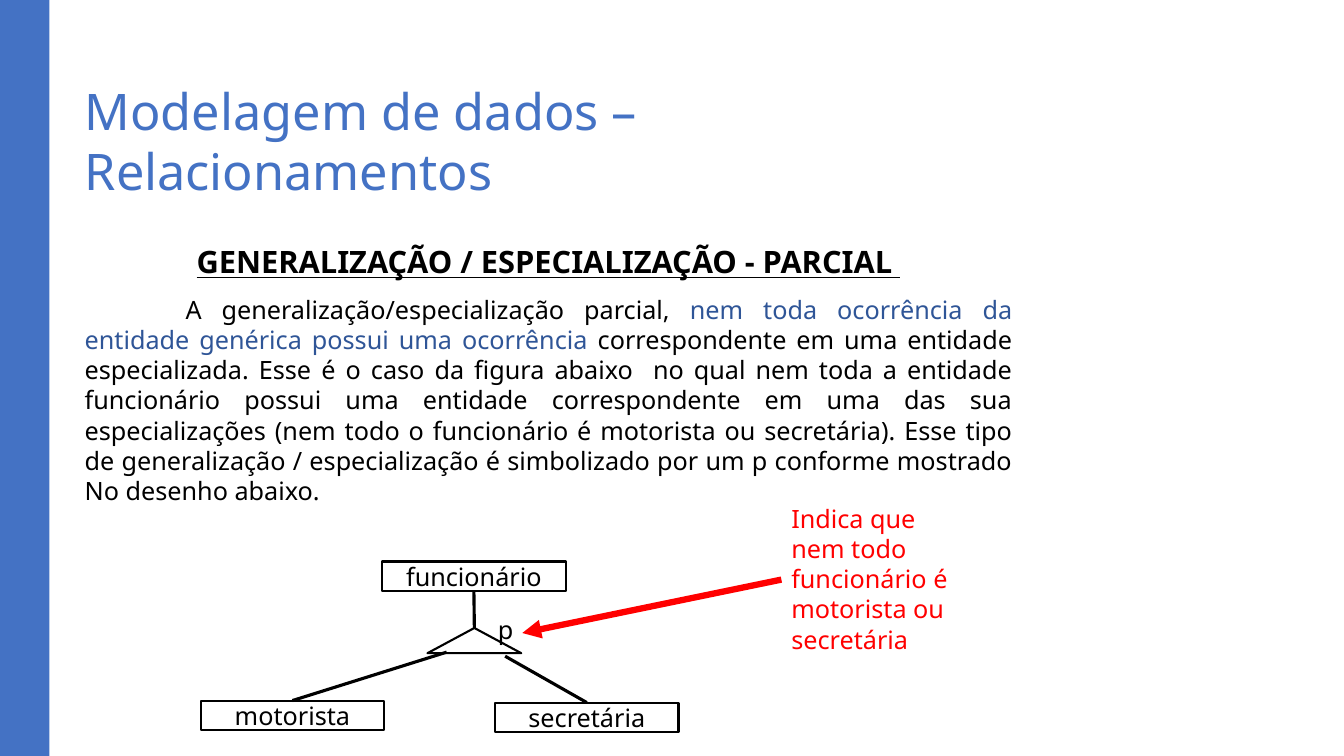
from dataclasses import dataclass

from lxml import etree
from pptx import Presentation
from pptx.dml.color import RGBColor
from pptx.enum.shapes import MSO_CONNECTOR, MSO_SHAPE
from pptx.enum.text import MSO_ANCHOR, MSO_AUTO_SIZE, PP_ALIGN
from pptx.oxml.ns import qn
from pptx.util import Inches, Pt


@dataclass(frozen=True)
class Theme:
    font: str = "Noto Sans"
    accent: str = "4472C4"
    emphasis: str = "2F5597"
    ink: str = "000000"
    paper: str = "FFFFFF"
    alert: str = "FF0000"
    title: int = 36
    heading: int = 22
    text: int = 18
    outline: float = 1.5
    link: float = 2.25
    arrow: float = 4.5


class SlideBuilder:
    def __init__(self, prs, theme):
        self.t = theme
        self.s = prs.slides.add_slide(prs.slide_layouts[1])

    def style(self, r, color, size, bold=False, underline=False):
        r.font.name, r.font.size = self.t.font, Pt(size)
        r.font.bold, r.font.underline = bold, underline
        r.font.color.rgb = RGBColor.from_string(color)

    def place(self, sp, x, y, w, h):
        sp.left, sp.top, sp.width, sp.height = map(Inches, (x, y, w, h))

    def title(self, text, *box):
        sp = self.s.shapes.title
        self.place(sp, *box)
        tf = sp.text_frame
        tf.text = text
        tf.vertical_anchor = MSO_ANCHOR.MIDDLE
        tf.auto_size = MSO_AUTO_SIZE.NONE
        p = tf.paragraphs[0]
        p.alignment = PP_ALIGN.LEFT
        self.style(p.runs[0], self.t.accent, self.t.title)

    def body(self, heading, parts, *box):
        sp = self.s.placeholders[1]
        self.place(sp, *box)
        tf = sp.text_frame
        tf.text = heading
        tf.vertical_anchor = MSO_ANCHOR.TOP
        tf.auto_size = MSO_AUTO_SIZE.NONE
        head, p = tf.paragraphs[0], tf.add_paragraph()
        self.style(head.runs[0], self.t.ink, self.t.heading, True, True)
        for text, color in parts:
            r = p.add_run()
            r.text = text
            self.style(r, color, self.t.text)
        # No bullets; only the running text has a first-line indent
        for para, align, indent in ((head, PP_ALIGN.CENTER, 0), (p, PP_ALIGN.JUSTIFY, 1)):
            para.alignment = align
            para.space_before = Pt(10)
            pPr = para._p.get_or_add_pPr()
            pPr.set("marL", "0")
            pPr.set("indent", str(Inches(indent)))
            etree.SubElement(pPr, qn("a:buNone"))

    def shape(self, kind, x, y, w, h, fill, line=None):
        sp = self.s.shapes.add_shape(kind, *map(Inches, (x, y, w, h)))
        sp.shadow.inherit = False
        sp.fill.solid()
        sp.fill.fore_color.rgb = RGBColor.from_string(fill)
        if line:
            sp.line.color.rgb = RGBColor.from_string(line)
            sp.line.width = Pt(self.t.outline)
        else:
            sp.line.fill.background()
        return sp

    def entity(self, text, x, y):
        sp = self.shape(MSO_SHAPE.RECTANGLE, x, y, 1.82, 0.29, self.t.paper, self.t.ink)
        tf = sp.text_frame
        tf.text = text
        tf.margin_top = tf.margin_bottom = 0
        tf.vertical_anchor = MSO_ANCHOR.MIDDLE
        p = tf.paragraphs[0]
        p.alignment = PP_ALIGN.CENTER
        self.style(p.runs[0], self.t.ink, self.t.text)
        return sp

    def label(self, text, x, y, w, h, color, wrap=True):
        sp = self.s.shapes.add_textbox(*map(Inches, (x, y, w, h)))
        tf = sp.text_frame
        tf.text = text
        tf.word_wrap = wrap
        tf.auto_size = MSO_AUTO_SIZE.SHAPE_TO_FIT_TEXT
        self.style(tf.paragraphs[0].runs[0], color, self.t.text)

    def line(self, start, end, color, width, arrow=False):
        ends = map(Inches, (*start, *end))
        c = self.s.shapes.add_connector(MSO_CONNECTOR.STRAIGHT, *ends)
        c.line.color.rgb = RGBColor.from_string(color)
        c.line.width = Pt(width)
        if arrow:
            etree.SubElement(c.line._get_or_add_ln(), qn("a:tailEnd"), type="triangle")
        etree.SubElement(c._element.spPr, qn("a:effectLst"))
        return c


def main():
    prs = Presentation()
    prs.slide_width, prs.slide_height = Inches(13.33), Inches(7.5)
    t = Theme()
    b = SlideBuilder(prs, t)

    # Side band, title and explanation
    b.shape(MSO_SHAPE.RECTANGLE, 0, 0, 0.49, 7.5, t.accent)
    b.title("Modelagem de dados – Relacionamentos", 0.74, 0.67, 9.4, 1.44)
    b.body("GENERALIZAÇÃO / ESPECIALIZAÇÃO - PARCIAL ", [
        ("A generalização/especialização parcial, ", t.ink),
        ("nem toda ocorrência da entidade genérica possui uma ocorrência ", t.emphasis),
        ("correspondente em uma entidade especializada. Esse é o caso da figura "
         "abaixo  no qual nem toda a entidade funcionário possui uma entidade "
         "correspondente em uma das sua especializações (nem todo o funcionário é "
         "motorista ou secretária). Esse tipo de generalização / especialização é "
         "simbolizado por um p conforme mostrado No desenho abaixo.", t.ink),
    ], 0.74, 2.36, 9.4, 4.24)

    # Entities and the generalization triangle
    employee = b.entity("funcionário", 3.79, 5.57)
    secretary = b.entity("secretária", 4.91, 6.97)
    driver = b.entity("motorista", 1.99, 6.95)
    triangle = b.shape(MSO_SHAPE.ISOSCELES_TRIANGLE, 4.24, 6.23, 0.93, 0.25, t.paper, t.ink)

    # Links between them
    b.line((4.43, 6.47), (2.9, 6.95), t.ink, t.link).end_connect(driver, 0)
    b.line((5.01, 6.51), (5.82, 6.97), t.ink, t.link).end_connect(secretary, 0)
    stem = b.line((4.7, 5.86), (4.7, 6.23), t.ink, t.link)
    stem.begin_connect(employee, 2)
    stem.end_connect(triangle, 0)

    # Partial mark and its callout
    b.label("p", 4.84, 6.05, 0.34, 0.46, t.ink, wrap=False)
    b.label("Indica que nem todo funcionário é motorista ou secretária",
            7.75, 4.94, 1.97, 1.62, t.alert)
    b.line((7.75, 5.75), (5.18, 6.28), t.alert, t.arrow, arrow=True)

    prs.save("out.pptx")


if __name__ == "__main__":
    main()
